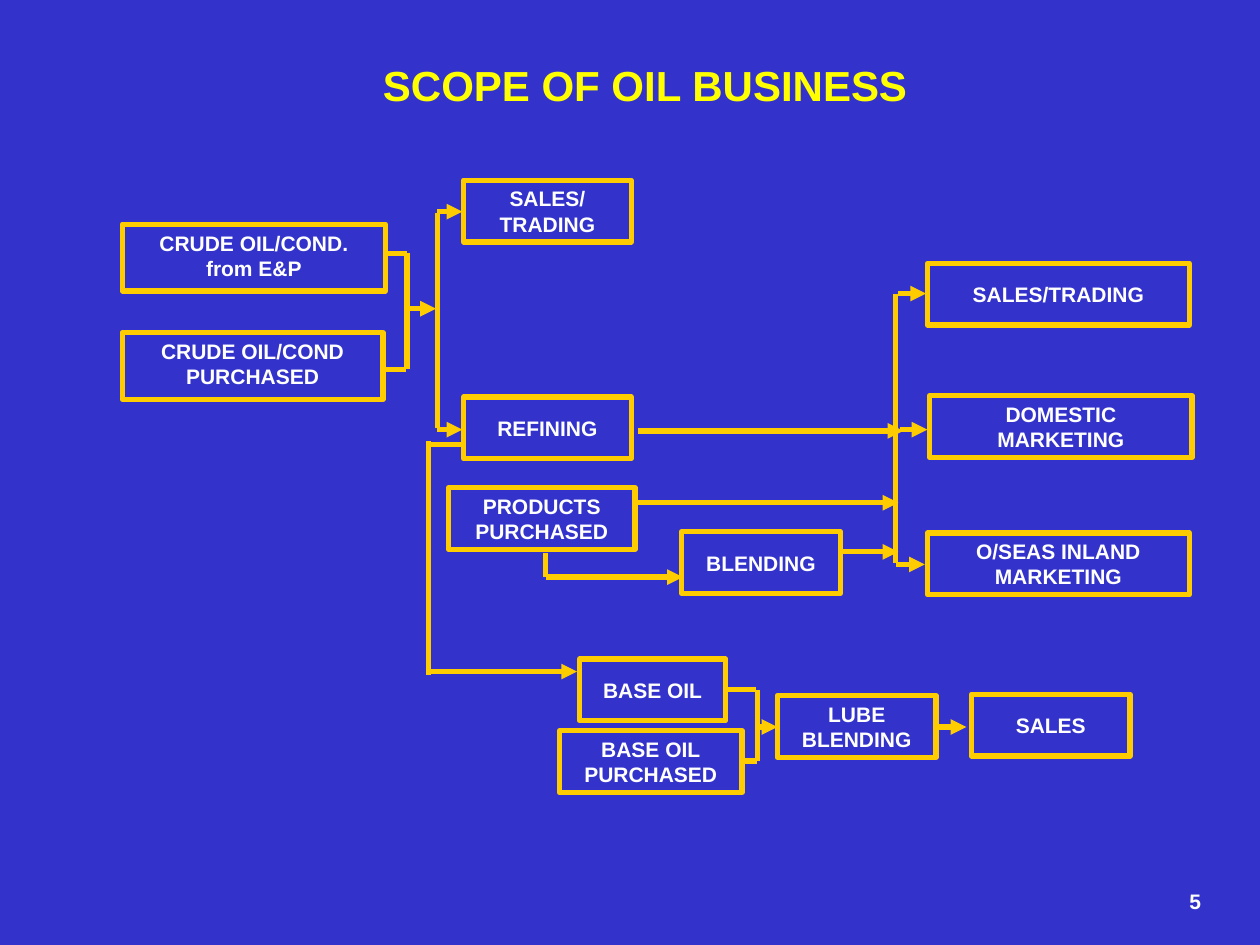
import pptx
import pptx.util
import pptx.dml.color
import pptx.enum.shapes
import pptx.enum.text
import pptx.oxml
import pptx.oxml.ns

BLUE = pptx.dml.color.RGBColor(0x33, 0x33, 0xCC)
GOLD = pptx.dml.color.RGBColor(0xFF, 0xCC, 0x00)
YELLOW = pptx.dml.color.RGBColor(0xFF, 0xFF, 0x00)
WHITE = pptx.dml.color.RGBColor(0xFF, 0xFF, 0xFF)
CENTER = pptx.enum.text.PP_ALIGN.CENTER
LEFT = pptx.enum.text.PP_ALIGN.LEFT
TOP = pptx.enum.text.MSO_ANCHOR.TOP
MIDDLE = pptx.enum.text.MSO_ANCHOR.MIDDLE
NAMESPACE = 'xmlns:a="http://schemas.openxmlformats.org/drawingml/2006/main"'
EMU_PER_PX = 9144
CRUDE_HEIGHT = 53
PROCESS_HEIGHT = 49

CRUDE_BOXES = [
    ("CRUDE OIL/COND.\nfrom E&P", 97, 178, 209),
    ("CRUDE OIL/COND PURCHASED", 97, 264, 207),
]
PROCESS_BOXES = [
    ("SALES/ TRADING", 368, 143, 133),
    ("REFINING", 368, 315, 133),
    ("PRODUCTS PURCHASED", 356, 387, 148),
    ("BLENDING", 541, 422, 126),
    ("SALES/TRADING", 736, 209, 208),
    ("DOMESTIC MARKETING", 738, 314, 208),
    ("O/SEAS INLAND MARKETING", 736, 423, 208),
    ("BASE OIL", 460, 523, 116),
    ("BASE OIL\nPURCHASED", 444, 580, 145),
    ("LUBE\nBLENDING", 617, 552, 126),
    ("SALES", 771, 551, 126),
]
VERTICAL_LINES = [
    (323, 201, 293), (347, 169, 340), (711, 233, 447),
    (433, 439, 458), (340, 350, 536), (601, 548, 604),
]
HORIZONTAL_LINES = [
    (307, 323, 201), (306, 322, 293), (342, 369, 353),
    (576, 600, 547), (589, 601, 604),
]
HORIZONTAL_ARROWS = [
    (323, 346, 245), (347, 367, 168), (347, 367, 341),
    (713, 735, 233), (714, 736, 341), (711, 734, 448),
    (506, 717, 342), (504, 713, 399), (668, 713, 438),
    (433, 542, 458), (339, 458, 533), (601, 617, 577), (744, 767, 577),
]


class FlowSlide:
    """Draws gold-outlined boxes, lines and labels on one slide."""

    def __init__(self, slide):
        self.slide = slide
        self.font_name = "Arial"
        self.line_width = pptx.util.Pt(3)
        slide.background.fill.solid()
        slide.background.fill.fore_color.rgb = BLUE

    def lengths(self, *pixels):
        return [pptx.util.Emu(value * EMU_PER_PX) for value in pixels]

    def set_text(self, shape, text, size=12, color=WHITE, align=CENTER, anchor=TOP, wrap=True):
        frame = shape.text_frame
        frame.word_wrap = wrap
        frame.vertical_anchor = anchor
        frame.text = text
        for para in frame.paragraphs:
            para.alignment = align
            para.font.name = self.font_name
            para.font.size = pptx.util.Pt(size)
            para.font.bold = True
            para.font.color.rgb = color

    def label(self, text, left, top, width, height, **style):
        box = self.slide.shapes.add_textbox(*self.lengths(left, top, width, height))
        self.set_text(box, text, **style)

    def box(self, text, left, top, width, height, anchor):
        box = self.slide.shapes.add_shape(
            pptx.enum.shapes.MSO_SHAPE.RECTANGLE, *self.lengths(left, top, width, height))
        box.shadow.inherit = False
        box.fill.background()
        box.line.color.rgb = GOLD
        box.line.width = self.line_width
        self.set_text(box, text, anchor=anchor)

    def line(self, start_x, start_y, end_x, end_y, arrow=False):
        line = self.slide.shapes.add_connector(
            pptx.enum.shapes.MSO_CONNECTOR.STRAIGHT,
            *self.lengths(start_x, start_y, end_x, end_y))
        line.line.color.rgb = GOLD
        line.line.width = self.line_width
        properties = line.element.spPr
        if arrow:
            outline = properties.find(pptx.oxml.ns.qn("a:ln"))
            outline.append(pptx.oxml.parse_xml(f'<a:tailEnd {NAMESPACE} type="triangle"/>'))
        properties.append(pptx.oxml.parse_xml(f"<a:effectLst {NAMESPACE}/>"))


def main():
    deck = pptx.Presentation()
    deck.slide_width = pptx.util.Inches(10)
    deck.slide_height = pptx.util.Inches(7.5)
    flow = FlowSlide(deck.slides.add_slide(deck.slide_layouts[6]))

    flow.label("SCOPE OF OIL BUSINESS", 158, 42, 708, 42, size=24, color=YELLOW)
    for text, left, top, width in CRUDE_BOXES:
        flow.box(text, left, top, width, CRUDE_HEIGHT, TOP)
    for text, left, top, width in PROCESS_BOXES:
        flow.box(text, left, top, width, PROCESS_HEIGHT, MIDDLE)
    for x, top, bottom in VERTICAL_LINES:
        flow.line(x, top, x, bottom)
    for left, right, y in HORIZONTAL_LINES:
        flow.line(left, y, right, y)
    for left, right, y in HORIZONTAL_ARROWS:
        flow.line(left, y, right, y, arrow=True)
    flow.label("5", 934, 700, 29, 30, align=LEFT, wrap=False)

    deck.save("out.pptx")


if __name__ == "__main__":
    main()
